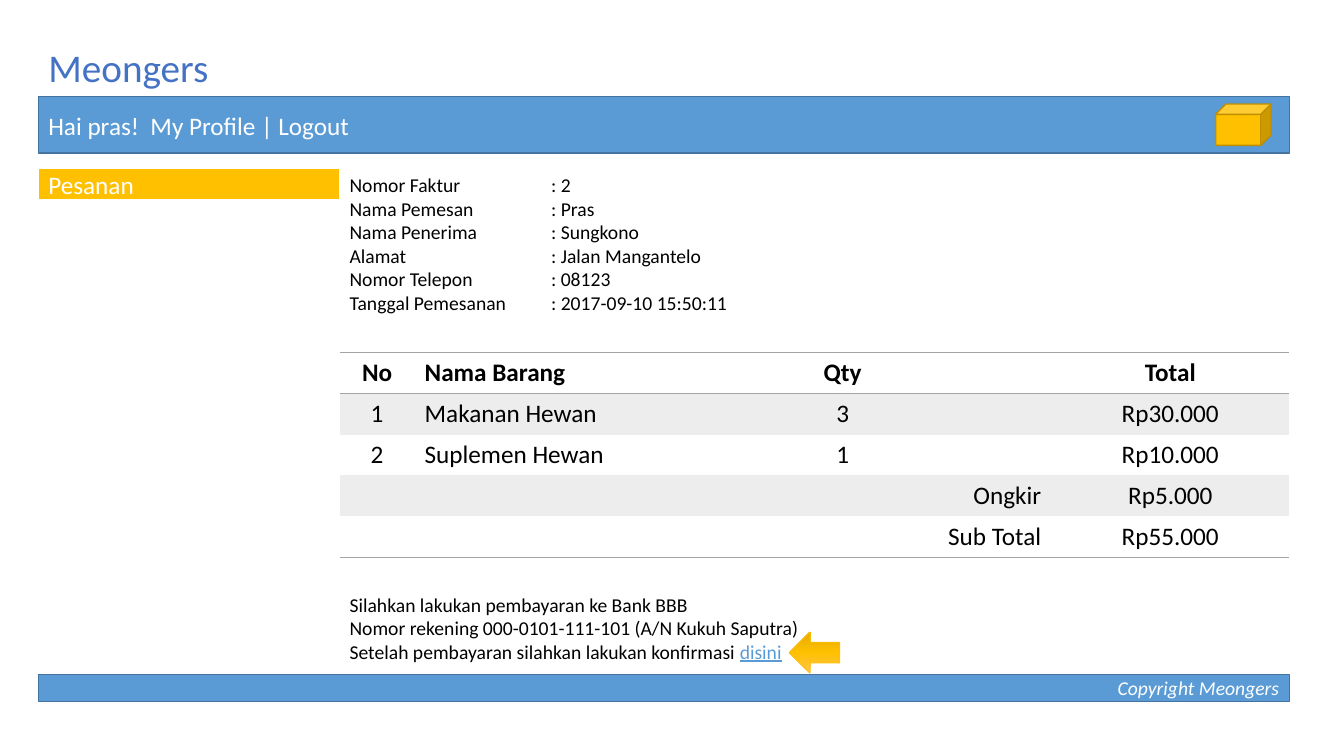
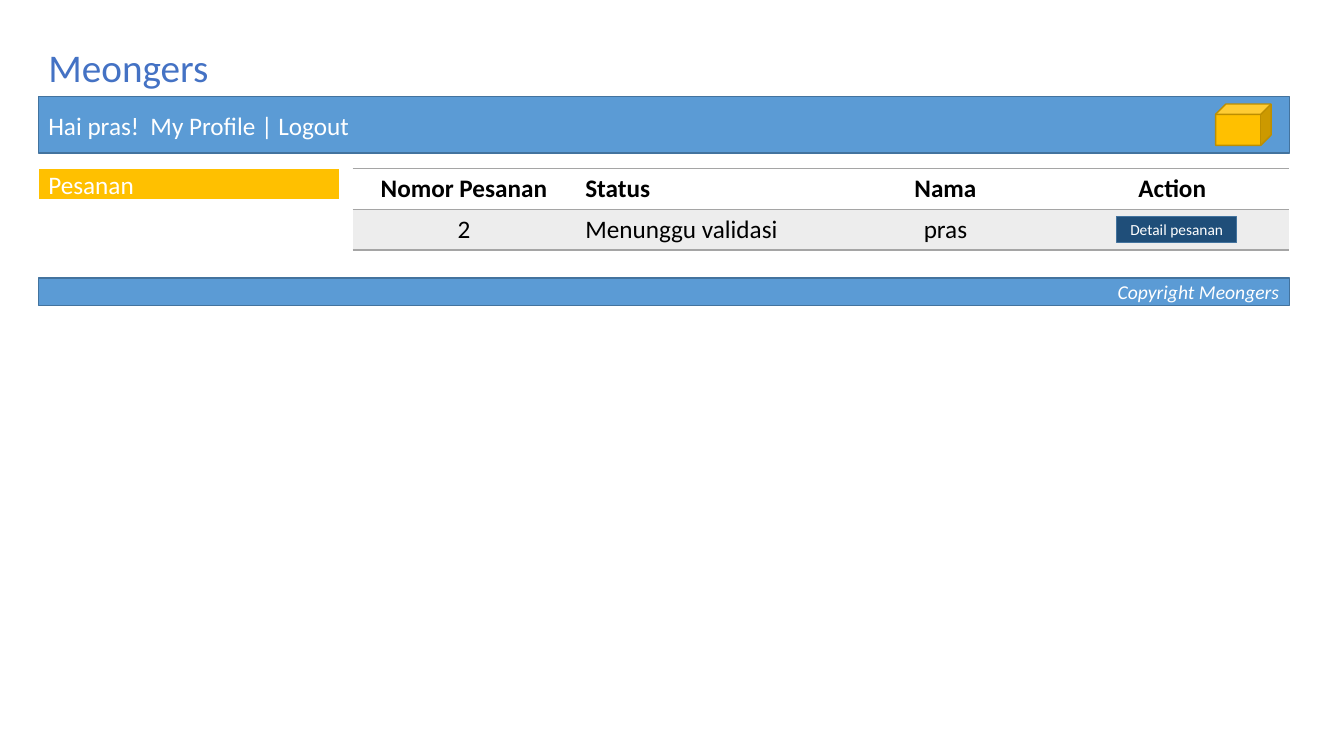
from copy import deepcopy

from lxml.etree import SubElement
from pptx import Presentation
from pptx.dml.color import RGBColor
from pptx.enum.shapes import MSO_SHAPE as Preset
from pptx.enum.text import MSO_ANCHOR as Anchor, MSO_AUTO_SIZE as AutoSize, PP_ALIGN as Align
from pptx.oxml.ns import qn
from pptx.util import Pt

# Shared style
FONT = "Calibri"
BLUE, BLUE_EDGE, NAVY = "5B9BD5", "43739E", "1F4E79"
GOLD, GOLD_EDGE = "FFC000", "BD8E00"
BLACK, WHITE, RULE, STRIPE = "000000", "FFFFFF", "A5A5A5", "EDEDED"
TITLE_GRADIENT = ["203864", "4472C4", "8FAADC"]
ARROW_GRADIENT = ["FFC64B", "FFC000", "E3AB00"]
NO_TABLE_STYLE = "{2D5ABB26-0587-4C30-8999-92F81FD0307C}"

# Shared page grid, in points
PAGE_LEFT, PAGE_WIDTH = 27.4, 893.5
PAGE_RIGHT = PAGE_LEFT + PAGE_WIDTH
BODY_TOP = 120.2
MENU_WIDTH = 215.2
DETAIL_LEFT = PAGE_LEFT + MENU_WIDTH
ROW_HEIGHT = 29.2


def color(value):
    return RGBColor.from_string(value)


def points(*lengths):
    return [Pt(length) for length in lengths]


def add_run(paragraph, text, size, ink=BLACK, bold=False, italic=False, underline=False):
    run = paragraph.add_run()
    run.text = text
    font = run.font
    font.name, font.size = FONT, Pt(size)
    font.bold, font.italic, font.underline = bold, italic, underline
    font.color.rgb = color(ink)
    return run


def set_gradient(fill, colors):
    """Vertical gradient with three evenly spaced stops."""
    fill.gradient()
    fill.gradient_angle = 270
    first = fill.gradient_stops[0]._gs
    first.addnext(deepcopy(first))
    for stop, value, position in zip(fill.gradient_stops, colors, (0, 0.5, 1)):
        stop.color.rgb = color(value)
        stop.position = position


def add_box(slide, preset, box, fill, edge, edge_width=1):
    shape = slide.shapes.add_shape(preset, *points(*box))
    shape.shadow.inherit = False
    shape.fill.solid()
    shape.fill.fore_color.rgb = color(fill)
    shape.line.color.rgb = color(edge)
    shape.line.width = Pt(edge_width)
    return shape


def add_label(slide, box, text, size, fill, edge, align=Align.LEFT, edge_width=1, italic=False):
    shape = add_box(slide, Preset.RECTANGLE, box, fill, edge, edge_width)
    shape.text_frame.vertical_anchor = Anchor.MIDDLE
    paragraph = shape.text_frame.paragraphs[0]
    paragraph.alignment = align
    add_run(paragraph, text, size, WHITE, italic=italic)


def add_lines(slide, box, lines, tab=None):
    """Text box with one paragraph per line; a line is a list of (text, format)."""
    frame = slide.shapes.add_textbox(*points(*box)).text_frame
    frame.word_wrap = True
    for index, line in enumerate(lines):
        paragraph = frame.add_paragraph() if index else frame.paragraphs[0]
        if tab:
            tabs = SubElement(paragraph._p.get_or_add_pPr(), qn("a:tabLst"))
            SubElement(tabs, qn("a:tab"), pos=str(Pt(tab)), algn="l")
        for text, style in line:
            add_run(paragraph, text, 14, **style)


def add_rule(cell, edge):
    properties = cell._tc.get_or_add_tcPr()
    rule = SubElement(properties, qn(edge), w=str(Pt(1)))
    SubElement(SubElement(rule, qn("a:solidFill")), qn("a:srgbClr"), val=RULE)
    properties.insert(0, rule)


def add_order_table(slide, left, top, widths, rows, alignments):
    """Striped table with rules around the header and below the last row."""
    frame = slide.shapes.add_table(
        len(rows), len(widths), *points(left, top, sum(widths), ROW_HEIGHT * len(rows)))
    table = frame.table
    table._tbl.tblPr.find(qn("a:tableStyleId")).text = NO_TABLE_STYLE
    for column, width in zip(table.columns, widths):
        column.width = Pt(width)
    for row_index, values in enumerate(rows):
        table.rows[row_index].height = Pt(ROW_HEIGHT)
        header = row_index == 0
        for column_index, value in enumerate(values):
            cell = table.cell(row_index, column_index)
            if row_index % 2:
                cell.fill.solid()
                cell.fill.fore_color.rgb = color(STRIPE)
            else:
                cell.fill.background()
            if header or row_index == len(rows) - 1:
                add_rule(cell, "a:lnB")
            if header:
                add_rule(cell, "a:lnT")
            if value:
                paragraph = cell.text_frame.paragraphs[0]
                # Summary rows have no number and align right in the quantity column
                summary = not values[0] and column_index == 2
                paragraph.alignment = Align.RIGHT if summary else alignments[column_index]
                add_run(paragraph, value, 18, bold=header)


def add_title(slide):
    title = slide.shapes.title
    title.left, title.top, title.width, title.height = points(PAGE_LEFT, 27.4, 130.3, 41.2)
    frame = title.text_frame
    frame.word_wrap = False
    frame.auto_size = AutoSize.SHAPE_TO_FIT_TEXT
    frame.vertical_anchor = Anchor.TOP
    paragraph = frame.paragraphs[0]
    paragraph.alignment = Align.LEFT
    run = add_run(paragraph, "Meongers", 28)
    set_gradient(run.font.fill, TITLE_GRADIENT)


def add_header(slide, left, top, width, height):
    add_label(slide, (left, top, width, height), "Hai pras!  My Profile | Logout", 18, BLUE, BLUE_EDGE)
    add_box(slide, Preset.CUBE, (left + width - 52.6, top + 5.2, 39.6, 29.5), GOLD, GOLD_EDGE)


def add_page(presentation, footer_top):
    """Slide with the title, header band, side menu and footer."""
    slide = presentation.slides.add_slide(presentation.slide_layouts[5])
    add_title(slide)
    add_header(slide, PAGE_LEFT, 69.1, PAGE_WIDTH, 40.3)
    add_label(slide, (PAGE_LEFT, BODY_TOP, MENU_WIDTH, 23), "Pesanan", 18, GOLD, WHITE, edge_width=1.5)
    add_label(slide, (PAGE_LEFT, footer_top, PAGE_WIDTH, 19.5), "Copyright Meongers", 14,
              BLUE, BLUE_EDGE, Align.RIGHT, italic=True)
    return slide


def add_payment_note(slide, left, top):
    add_lines(slide, (left, top, 397.4, 58.2), [
        [("Silahkan lakukan pembayaran ke Bank BBB", {})],
        [("Nomor rekening 000-0101-111-101 (A/N Kukuh Saputra)", {})],
        [("Setelah pembayaran silahkan lakukan konfirmasi ", {}),
         ("disini", {"ink": BLUE, "underline": True})],
    ])
    arrow = add_box(slide, Preset.RIGHT_ARROW, (left + 321.2, top + 31.6, 36, 29.5), GOLD, GOLD, 0.5)
    arrow.rotation = 180
    set_gradient(arrow.fill, ARROW_GRADIENT)


def add_invoice_slide(presentation):
    slide = add_page(presentation, 481.7)
    details = [
        ("Nomor Faktur", "2"),
        ("Nama Pemesan", "Pras"),
        ("Nama Penerima", "Sungkono"),
        ("Alamat", "Jalan Mangantelo"),
        ("Nomor Telepon", "08123"),
        ("Tanggal Pemesanan", "2017-09-10 15:50:11"),
    ]
    lines = [[(f"{name}\t: {value}", {})] for name, value in details]
    add_lines(slide, (DETAIL_LEFT, BODY_TOP, 397.4, 108.7), lines, tab=144)
    add_order_table(slide, DETAIL_LEFT, 252, [53.6, 156.8, 298, 170], [
        ("No", "Nama Barang", "Qty", "Total"),
        ("1", "Makanan Hewan", "3", "Rp30.000"),
        ("2", "Suplemen Hewan", "1", "Rp10.000"),
        ("", "", "Ongkir", "Rp5.000"),
        ("", "", "Sub Total", "Rp55.000"),
    ], [Align.CENTER, Align.LEFT, Align.CENTER, Align.CENTER])
    add_payment_note(slide, DETAIL_LEFT, 419.8)


def add_orders_slide(presentation):
    slide = add_page(presentation, 198.7)
    widths = [159, 186, 157, 167]
    add_order_table(slide, PAGE_RIGHT - sum(widths), BODY_TOP, widths, [
        ("Nomor Pesanan", "Status", "Nama", "Action"),
        ("2", "Menunggu validasi", "pras", ""),
    ], [Align.CENTER, Align.LEFT, Align.CENTER, Align.CENTER])
    # Button inside the action column
    add_label(slide, (PAGE_RIGHT - 123.2, BODY_TOP + ROW_HEIGHT + 5.3, 85.7, 18.7),
              "Detail pesanan", 11, NAVY, BLUE_EDGE, Align.CENTER)


def main():
    presentation = Presentation()
    presentation.slide_width, presentation.slide_height = points(960, 540)
    add_invoice_slide(presentation)
    add_orders_slide(presentation)
    presentation.save("out.pptx")


if __name__ == "__main__":
    main()
